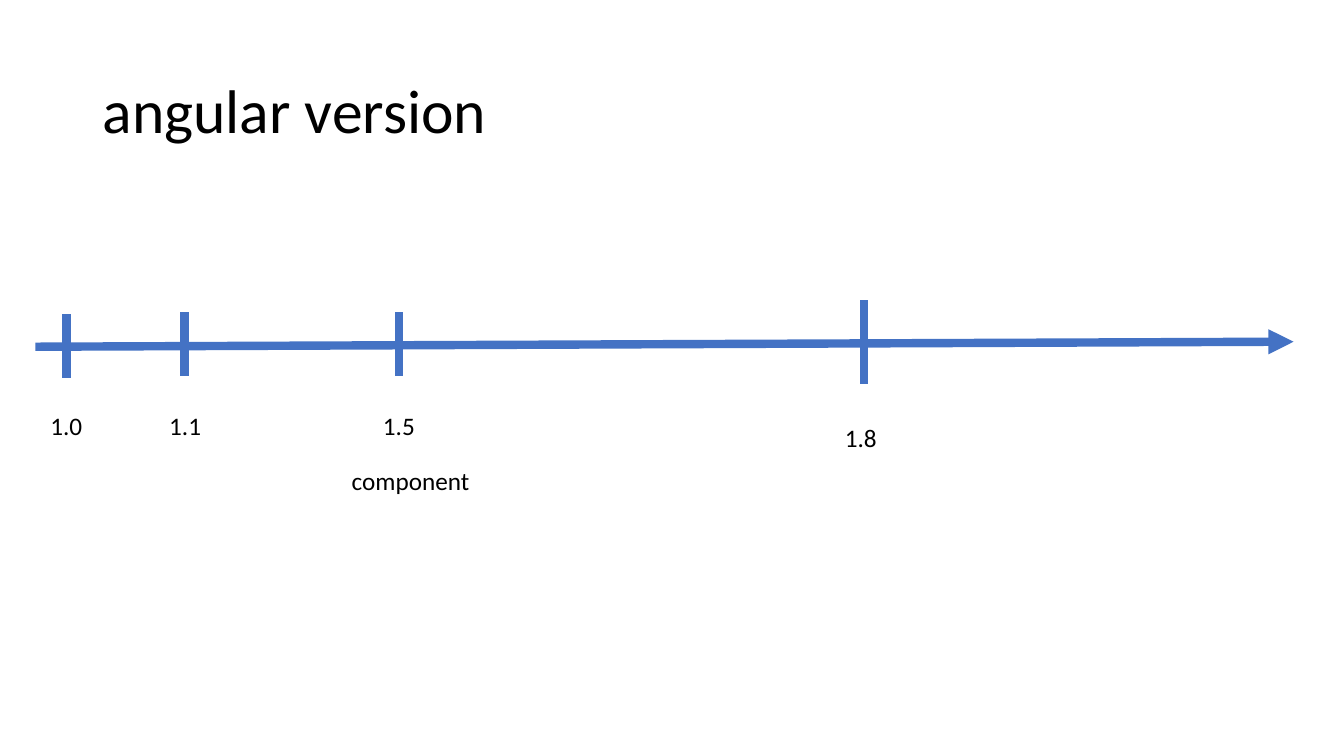
"""Draw a timeline of angular versions on one slide."""
from lxml import etree
from pptx import Presentation
from pptx import util as u
from pptx.dml.color import RGBColor
from pptx.enum import shapes, text
from pptx.oxml.ns import qn

PX = 9144
COLORS = {"line": "4472C4", "text": "000000"}


class TimelinePage:
    """Hold the style and the current slide."""

    font = "Calibri"
    line_width = 6

    def __init__(self, deck):
        self.page = deck.slides.add_slide(deck.slide_layouts[6])

    def line(self, start, end, arrow=False):
        """Draw a straight line, with an optional arrowhead at its end."""
        points = [value * PX for value in (*start, *end)]
        line = self.page.shapes.add_connector(shapes.MSO_CONNECTOR.STRAIGHT, *points)
        line.line.color.rgb = RGBColor.from_string(COLORS["line"])
        line.line.width = u.Pt(self.line_width)
        if arrow:
            outline = line.line._get_or_add_ln()
            etree.SubElement(outline, qn("a:tailEnd"), type="triangle")
        etree.SubElement(line._element.spPr, qn("a:effectLst"))

    def label(self, words, left, top, width, height=40, size=18):
        """Add a one-line text box that grows with its text."""
        box = self.page.shapes.add_textbox(*(value * PX for value in (left, top, width, height)))
        frame = box.text_frame
        frame.text = words
        frame.word_wrap = False
        frame.auto_size = text.MSO_AUTO_SIZE.SHAPE_TO_FIT_TEXT
        font = frame.paragraphs[0].runs[0].font
        font.name = self.font
        font.size = u.Pt(size)
        font.color.rgb = RGBColor.from_string(COLORS["text"])
        return box

    def title(self, words):
        """Add the heading, centred vertically in its band."""
        frame = self.label(words, 92, 40, 1150, 145, size=44).text_frame
        frame.word_wrap = True
        frame.auto_size = text.MSO_AUTO_SIZE.NONE
        frame.vertical_anchor = text.MSO_ANCHOR.MIDDLE
        frame.paragraphs[0].line_spacing = 0.9

    def version(self, name, tick_x, tick_top, tick_height, label_left, label_top):
        """Mark one version on the axis and name it below."""
        self.line((tick_x, tick_top), (tick_x, tick_top + tick_height))
        self.label(name, label_left, label_top, 52)


def main():
    """Build and save the slide."""
    deck = Presentation()
    deck.slide_width, deck.slide_height = u.Inches(13.33), u.Inches(7.5)
    timeline = TimelinePage(deck)
    timeline.title("angular version")
    timeline.line((35, 344), (1283, 339), arrow=True)
    versions = [
        ("1.0", 66, 312, 63, 40, 402),
        ("1.1", 183, 310, 63, 158, 402),
        ("1.5", 396, 310, 63, 370, 402),
        ("1.8", 857, 298, 83, 828, 414),
    ]
    for version in versions:
        timeline.version(*version)
    timeline.label("component", 339, 457, 138)
    deck.save("out.pptx")


if __name__ == "__main__":
    main()
